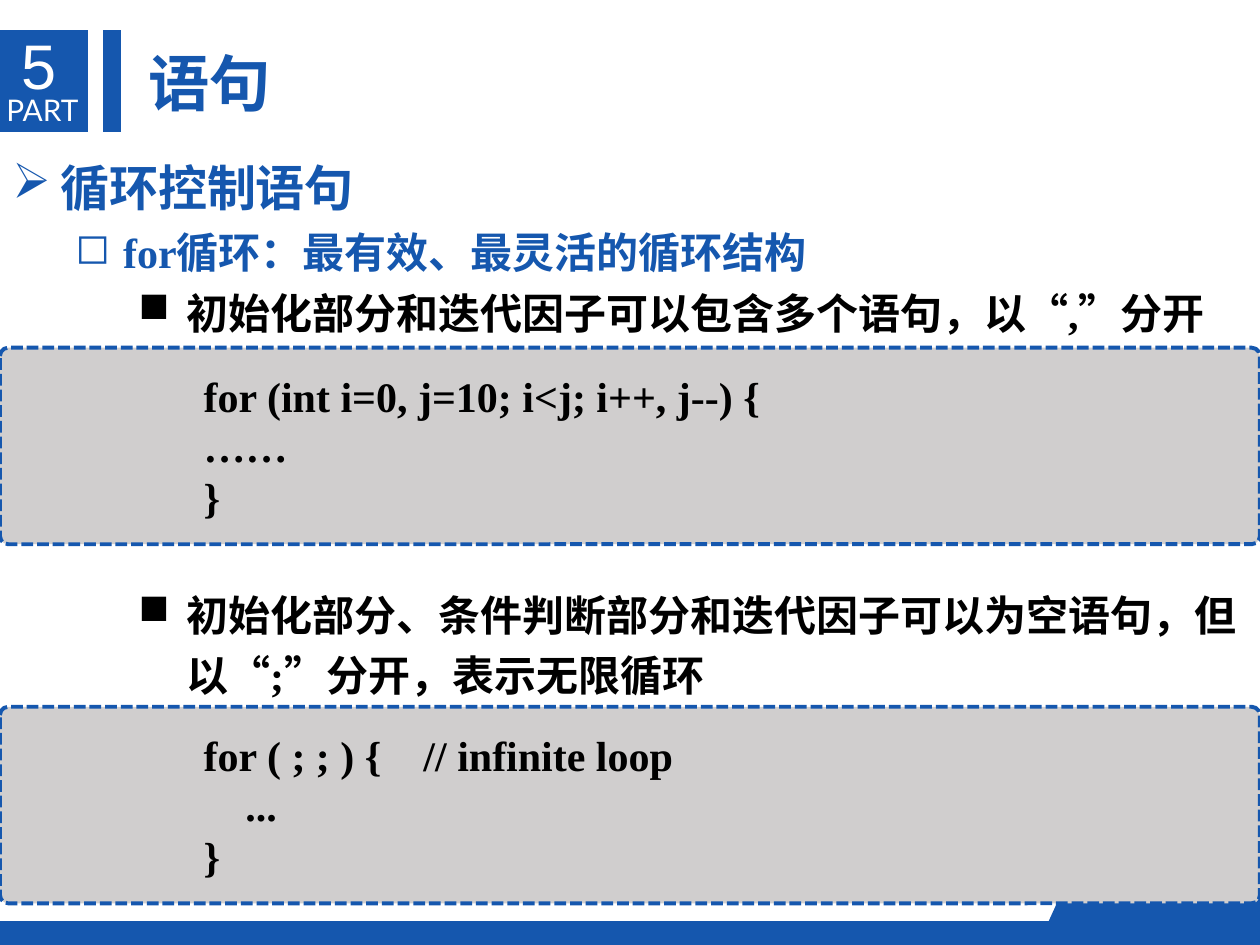
from dataclasses import dataclass

import pptx
import pptx.dml.color
import pptx.enum.dml
import pptx.enum.shapes
import pptx.enum.text
import pptx.oxml.ns
import pptx.util
from lxml import etree

Inches = pptx.util.Inches
Pt = pptx.util.Pt
SHAPES = pptx.enum.shapes.MSO_SHAPE
ANCHOR = pptx.enum.text.MSO_ANCHOR
COLORS = {"blue": "1557AE", "gray": "D0CECE", "white": "FFFFFF", "black": "000000"}
SERIF = "Times New Roman"
HAN = "Noto Sans CJK SC"


@dataclass
class Line:
    text: str
    size: float
    color: str = "black"
    font: str = SERIF
    bold: bool = True
    left: float = 0
    hang: float = 0
    mark: str = ""
    space: float = 1
    before: float = 0


@dataclass
class Label:
    box: tuple[float, float, float, float]
    line: Line
    inset: float = 0.1


@dataclass
class Code:
    top: float
    lines: list[Line]


def rgb(name: str) -> pptx.dml.color.RGBColor:
    return pptx.dml.color.RGBColor.from_string(COLORS[name])


def paint(shape, color: str) -> None:
    shape.shadow.inherit = False
    shape.fill.solid()
    shape.fill.fore_color.rgb = rgb(color)
    shape.line.fill.background()


def add_child(parent, tag: str, **attrs: str) -> None:
    etree.SubElement(parent, pptx.oxml.ns.qn(tag), **attrs)


def write(frame, lines: list[Line]) -> None:
    for i, line in enumerate(lines):
        para = frame.paragraphs[0] if i == 0 else frame.add_paragraph()
        para.text = line.text
        para.alignment = pptx.enum.text.PP_ALIGN.LEFT
        props = para._p.get_or_add_pPr()
        props.set("marL", str(Inches(line.left)))
        props.set("indent", str(Inches(-line.hang)))
        if line.mark:
            add_child(props, "a:buChar", char=line.mark)
        para.line_spacing = line.space
        para.space_before = Pt(line.before)
        font = para.font
        font.size = Pt(line.size)
        font.bold = line.bold
        font.color.rgb = rgb(line.color)
        font.name = line.font
        add_child(props.get_or_add_defRPr(), "a:ea", typeface=HAN)


def add_bar(slide, box: tuple[float, float, float, float]) -> None:
    bar = slide.shapes.add_shape(SHAPES.FLOWCHART_PROCESS, *map(Inches, box))
    paint(bar, "blue")


def add_tab(slide) -> None:
    points = [(10, 7.45), (10, 7.09), (8.42, 7.1), (8.26, 7.45)]
    pen = slide.shapes.build_freeform(
        Inches(points[0][0]), Inches(points[0][1])
    )
    pen.add_line_segments([(Inches(x), Inches(y)) for x, y in points[1:]], close=True)
    paint(pen.convert_to_shape(), "blue")


def add_text(slide, box: tuple[float, float, float, float], lines: list[Line],
             wrap: bool = True, inset: float = 0.1) -> None:
    frame = slide.shapes.add_textbox(*map(Inches, box)).text_frame
    frame.word_wrap = wrap
    frame.auto_size = pptx.enum.text.MSO_AUTO_SIZE.SHAPE_TO_FIT_TEXT
    frame.margin_left = frame.margin_right = Inches(inset)
    frame.margin_top = frame.margin_bottom = Inches(inset / 2)
    write(frame, lines)


def add_code(slide, code: Code) -> None:
    panel = slide.shapes.add_shape(
        SHAPES.ROUNDED_RECTANGLE, 0, Inches(code.top), Inches(10), Inches(1.56)
    )
    paint(panel, "gray")
    panel.adjustments[0] = 0.042
    panel.line.color.rgb = rgb("blue")
    panel.line.width = Pt(2.25)
    panel.line.dash_style = pptx.enum.dml.MSO_LINE.SQUARE_DOT
    panel.text_frame.word_wrap = True
    panel.text_frame.vertical_anchor = ANCHOR.MIDDLE
    write(panel.text_frame, code.lines)


BARS = [(0, 0.24, 0.7, 0.81), (0.82, 0.24, 0.14, 0.81), (0, 7.31, 10, 0.19)]

LABELS = [
    Label((0.05, 0.73, 0.6, 0.29), Line("PART", 17, "white", "Lato", False), 0),
    Label((0.07, 0.16, 0.53, 0.71), Line("5", 36, "white", "Arial", False)),
    Label((1.08, 0.31, 1.18, 0.69), Line("语句", 35, "blue", HAN)),
]

POINTS = [
    Line("循环控制语句", 28, "blue", left=0.38, hang=0.38, mark="➢", space=1.2),
    Line("for循环：最有效、最灵活的循环结构", 24, "blue",
         left=0.88, hang=0.38, mark="◻", space=1.2),
    Line("初始化部分和迭代因子可以包含多个语句，以“,”分开", 24,
         left=1.38, hang=0.38, mark="■", space=1.2),
    Line("初始化部分、条件判断部分和迭代因子可以为空语句，但以“;”分开，表示无限循环", 24,
         left=1.38, hang=0.38, mark="■", space=1.2, before=138),
]

CODES = [
    Code(2.76, [
        Line("for (int i=0, j=10; i<j; i++, j--) {", 24, left=1.5),
        Line("……", 24, left=1.5),
        Line("}", 24, left=1.5),
    ]),
    Code(5.61, [
        Line("for ( ; ; ) {    // infinite loop", 24, left=1.5),
        Line("...", 24, left=1.83),
        Line("}", 24, left=1.5),
    ]),
]


def main() -> None:
    deck = pptx.Presentation()
    deck.slide_width, deck.slide_height = Inches(10), Inches(7.5)
    slide = deck.slides.add_slide(deck.slide_layouts[6])
    for box in BARS:
        add_bar(slide, box)
    add_tab(slide)
    for label in LABELS:
        add_text(slide, label.box, [label.line], False, label.inset)
    add_text(slide, (0, 1.11, 10, 4.99), POINTS)
    for code in CODES:
        add_code(slide, code)
    deck.save("out.pptx")


if __name__ == "__main__":
    main()
